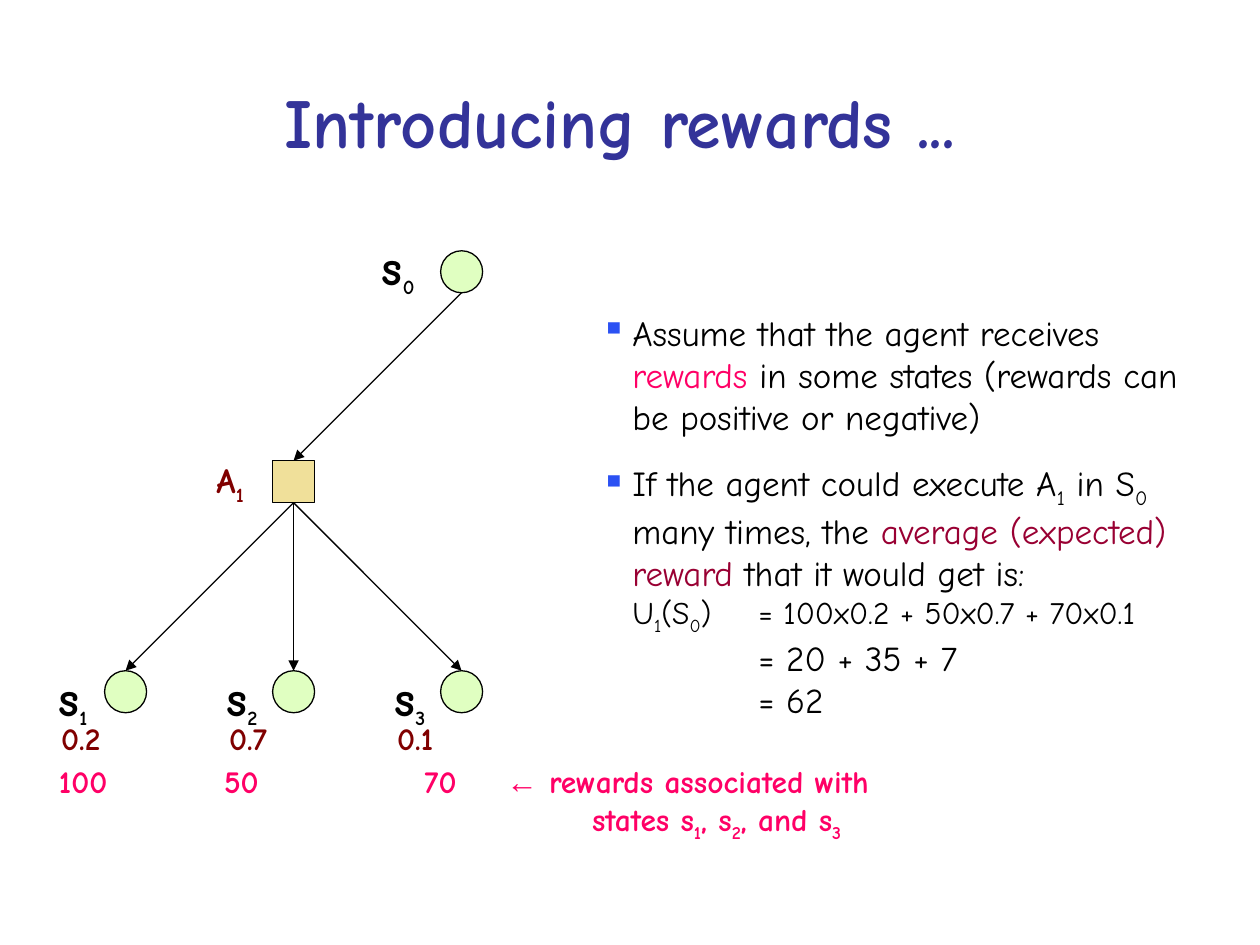
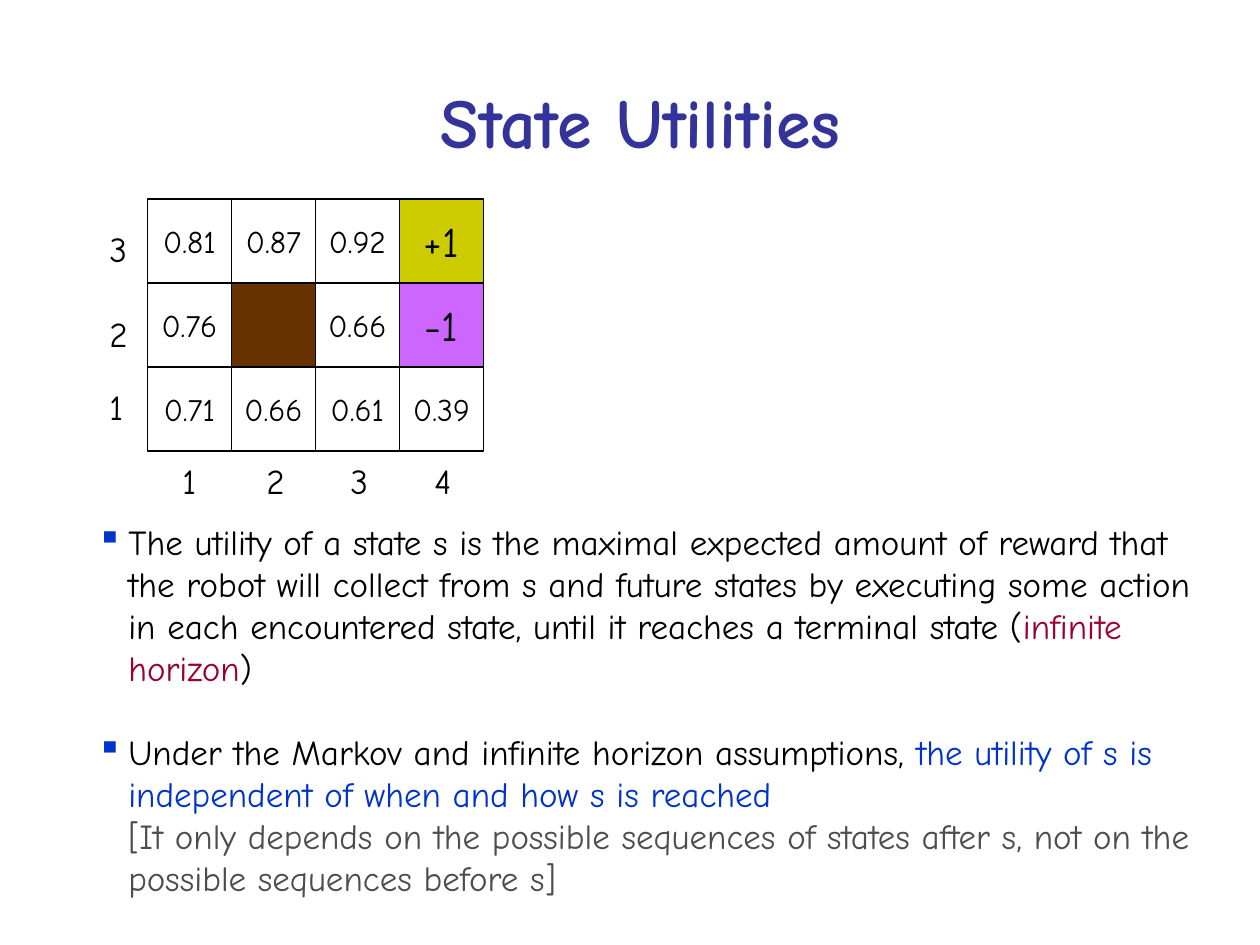
from dataclasses import dataclass

from lxml import etree
from pptx import Presentation
from pptx import util as u
from pptx.dml import color
from pptx.enum import shapes, text
from pptx.oxml import ns


@dataclass(frozen=True)
class Theme:
    font: str = "Comic Neue"
    symbol_font: str = "Arial"
    ink: str = "000000"
    title: str = "333399"
    state: str = "E0FFC1"
    action: str = "F0E09A"
    maroon: str = "800000"
    pink: str = "FF0066"
    wine: str = "990033"
    blue: str = "0033CC"
    bright_blue: str = "2B51F3"
    grey: str = "4D4D4D"
    cell: str = "FFFFFF"
    wall: str = "663300"
    goal: str = "CCCC00"
    pit: str = "CC66FF"
    title_size: int = 40
    state_size: int = 28
    terminal_size: int = 24
    body_size: int = 20
    small_size: int = 18
    line: float = 0.75


T = Theme()
BREAK = "\n"


def rgb(value):
    return color.RGBColor.from_string(value)


def box_inches(box):
    return [u.Inches(length) for length in box]


def add_run(paragraph, words, size=T.body_size, ink=T.ink, bold=False, sub=False, font=T.font):
    if words == BREAK:
        paragraph.add_line_break()
        return
    run = paragraph.add_run()
    run.text = words
    run.font.size = u.Pt(size)
    run.font.name = font
    run.font.bold = bold
    run.font.color.rgb = rgb(ink)
    if sub:
        run.font._element.set("baseline", "-25000")


def add_runs(paragraph, runs, **style):
    for words, changes in runs:
        add_run(paragraph, words, **{**style, **changes})


def plain(words):
    return words, {}


def sub(words, **changes):
    return words, {"sub": True, **changes}


def tinted(words, ink):
    return words, {"ink": ink}


def add_text(slide, box, runs, **style):
    frame = slide.shapes.add_textbox(*box_inches(box)).text_frame
    frame.word_wrap = True
    add_runs(frame.paragraphs[0], runs, **style)
    return frame


def indent(paragraph, left, first=0.0, bullet=None, tab=None):
    props = paragraph._p.get_or_add_pPr()
    props.set("marL", str(u.Inches(left)))
    props.set("indent", str(u.Inches(first)))
    if bullet:
        tint = etree.SubElement(props, ns.qn("a:buClr"))
        etree.SubElement(tint, ns.qn("a:srgbClr"), val=bullet)
        etree.SubElement(props, ns.qn("a:buChar"), char="▪")
    if tab:
        stops = etree.SubElement(props, ns.qn("a:tabLst"))
        etree.SubElement(stops, ns.qn("a:tab"), pos=str(u.Inches(tab)), algn="l")


def add_bullet(paragraph, runs, tint, gap=0):
    indent(paragraph, 0.25, -0.25, bullet=tint)
    paragraph.space_before = u.Pt(gap)
    add_runs(paragraph, runs)


def add_outlined(slide, kind, box, fill):
    shape = slide.shapes.add_shape(kind, *box_inches(box))
    shape.shadow.inherit = False
    shape.fill.solid()
    shape.fill.fore_color.rgb = rgb(fill)
    shape.line.color.rgb = rgb(T.ink)
    shape.line.width = u.Pt(T.line)
    return shape


def add_arrow(slide, start, end):
    arrow = slide.shapes.add_connector(
        shapes.MSO_CONNECTOR.STRAIGHT, *box_inches(start), *box_inches(end))
    arrow.line.color.rgb = rgb(T.ink)
    arrow.line.width = u.Pt(T.line)
    etree.SubElement(arrow.line._get_or_add_ln(), ns.qn("a:tailEnd"), type="triangle")
    etree.SubElement(arrow._element.spPr, ns.qn("a:effectLst"))


def titled_slide(deck, words, box):
    slide = deck.slides.add_slide(deck.slide_layouts[5])
    title = slide.shapes.title
    title.left, title.top, title.width, title.height = box_inches(box)
    title.text_frame.vertical_anchor = text.MSO_ANCHOR.MIDDLE
    paragraph = title.text_frame.paragraphs[0]
    paragraph.alignment = text.PP_ALIGN.CENTER
    add_run(paragraph, words, T.title_size, T.title, bold=True)
    return slide


def reward_tree(slide, left, top):
    node, step_x, step_y = 1 / 3, 4 / 3, 5 / 3
    half = node / 2
    oval, square = shapes.MSO_SHAPE.OVAL, shapes.MSO_SHAPE.RECTANGLE
    columns = [left + half + step_x * i for i in range(3)]
    rows = [top + half + step_y * i for i in range(3)]
    root, action = (columns[2], rows[0]), (columns[1], rows[1])

    def place_node(kind, centre, fill):
        x, y = centre
        add_outlined(slide, kind, (x - half, y - half, node, node), fill)

    def label(x, y, width, runs, size, ink=T.ink):
        add_text(slide, (x, y, width, 0.4), runs, size=size, ink=ink, bold=True)

    def state_label(x, y, index):
        label(x, y, 0.5, [plain("s"), sub(index, size=T.body_size)], T.state_size)

    place_node(oval, root, T.state)
    state_label(root[0] - 0.73, root[1] - 0.33, "0")
    add_arrow(slide, (root[0], root[1] + half), (action[0], action[1] - half))
    place_node(square, action, T.action)
    label(action[0] - 0.71, action[1] - 0.23, 0.5, [plain("A"), sub("1")], T.body_size, T.maroon)

    outcomes = [("1", "0.2", "100", 0.37), ("2", "0.7", "50", 1.68), ("3", "0.1", "70", 3.27)]
    for x, (index, chance, reward, reward_left) in zip(columns, outcomes):
        y = rows[2]
        add_arrow(slide, (action[0], action[1] + half), (x, y - half))
        place_node(oval, (x, y), T.state)
        state_label(x - 0.63, y - 0.24, index)
        label(x - 0.61, y + 0.17, 0.6, [plain(chance)], T.small_size, T.maroon)
        label(reward_left, y + 0.51, 0.6, [plain(reward)], T.small_size, T.pink)


def reward_caption(slide, box):
    style = dict(size=T.small_size, ink=T.pink, bold=True)
    arrow = ("←", {"font": T.symbol_font})
    frame = add_text(slide, box, [arrow, plain(" rewards associated with")], **style)
    states = frame.add_paragraph()
    indent(states, 0.68)
    add_runs(states, [plain("states s"), sub("1"), plain(", s"), sub("2"),
                      plain(", and s"), sub("3")], **style)


def reward_notes(slide, box):
    frame = add_text(slide, box, [])
    add_bullet(frame.paragraphs[0], [
        plain("Assume that the agent receives "), tinted("rewards", T.pink),
        plain(" in some states (rewards can be positive or negative)")], T.bright_blue)
    add_bullet(frame.add_paragraph(), [
        plain("If the agent could execute A"), sub("1"), plain(" in S"), sub("0"),
        plain(" many times, the "), tinted("average (expected) reward", T.wine),
        plain(" that it would get is:")], T.bright_blue, gap=14)
    utility = frame.add_paragraph()
    indent(utility, 0.25, tab=1.07)
    add_runs(utility, [plain("U"), sub("1"), plain("(S"), sub("0"),
                       plain(")\t= 100x0.2 + 50x0.7 + 70x0.1")], size=T.small_size)
    for result in ("= 20 + 35 + 7", "= 62"):
        step = frame.add_paragraph()
        indent(step, 1.25)
        add_run(step, result)


def utility_grid(slide, left, top):
    pitch = 2 / 3
    utilities = [["0.81", "0.87", "0.92", "+1"],
                 ["0.76", "", "0.66", "-1"],
                 ["0.71", "0.66", "0.61", "0.39"]]
    special = {"+1": T.goal, "-1": T.pit, "": T.wall}
    for row, values in enumerate(utilities):
        for column, value in enumerate(values):
            cell = add_outlined(
                slide, shapes.MSO_SHAPE.RECTANGLE,
                (left + column * pitch, top + row * pitch, pitch, pitch),
                special.get(value, T.cell))
            if value:
                frame = cell.text_frame
                frame.word_wrap = False
                frame.vertical_anchor = text.MSO_ANCHOR.MIDDLE
                frame.paragraphs[0].alignment = text.PP_ALIGN.CENTER
                size = T.terminal_size if value in special else T.small_size
                add_run(frame.paragraphs[0], value, size)
    for number, offset in (("3", 0.18), ("2", 1.85 - pitch * 1.5), ("1", 1.43)):
        add_text(slide, (left - 0.4, top + offset, 0.34, 0.44), [plain(number)])
    for column in range(4):
        add_text(slide, (left + column * pitch + 0.18, top + 2.02, 0.34, 0.44),
                 [plain(str(column + 1))])


def utility_notes(slide, box):
    frame = add_text(slide, box, [])
    add_bullet(frame.paragraphs[0], [
        plain("The utility of a state s is the maximal expected amount of reward that "
              "the robot will collect from s and future states by executing some action "
              "in each encountered state, until it reaches a terminal state ("),
        tinted("infinite horizon", T.wine), plain(")")], T.blue)
    add_bullet(frame.add_paragraph(), [
        plain("Under the Markov and infinite horizon assumptions, "),
        tinted("the utility of s is independent of when and how s is reached", T.blue),
        plain(BREAK),
        tinted("[It only depends on the possible sequences of states after s, "
               "not on the possible sequences before s]", T.grey)], T.blue, gap=24)


def main():
    deck = Presentation()
    deck.slide_width, deck.slide_height = u.Inches(10), u.Inches(7.5)

    rewards = titled_slide(deck, "Introducing rewards ...", (0.42, 0.33, 9, 1.25))
    reward_tree(rewards, 0.83, 1.99)
    reward_caption(rewards, (3.92, 6, 3.15, 0.74))
    reward_notes(rewards, (4.67, 2.42, 5.08, 3.36))

    utilities = titled_slide(deck, "State Utilities", (0.67, 0.33, 8.83, 1.25))
    utility_grid(utilities, 1.17, 1.58)
    utility_notes(utilities, (0.67, 4.08, 9, 3.44))

    deck.save("out.pptx")


if __name__ == "__main__":
    main()
